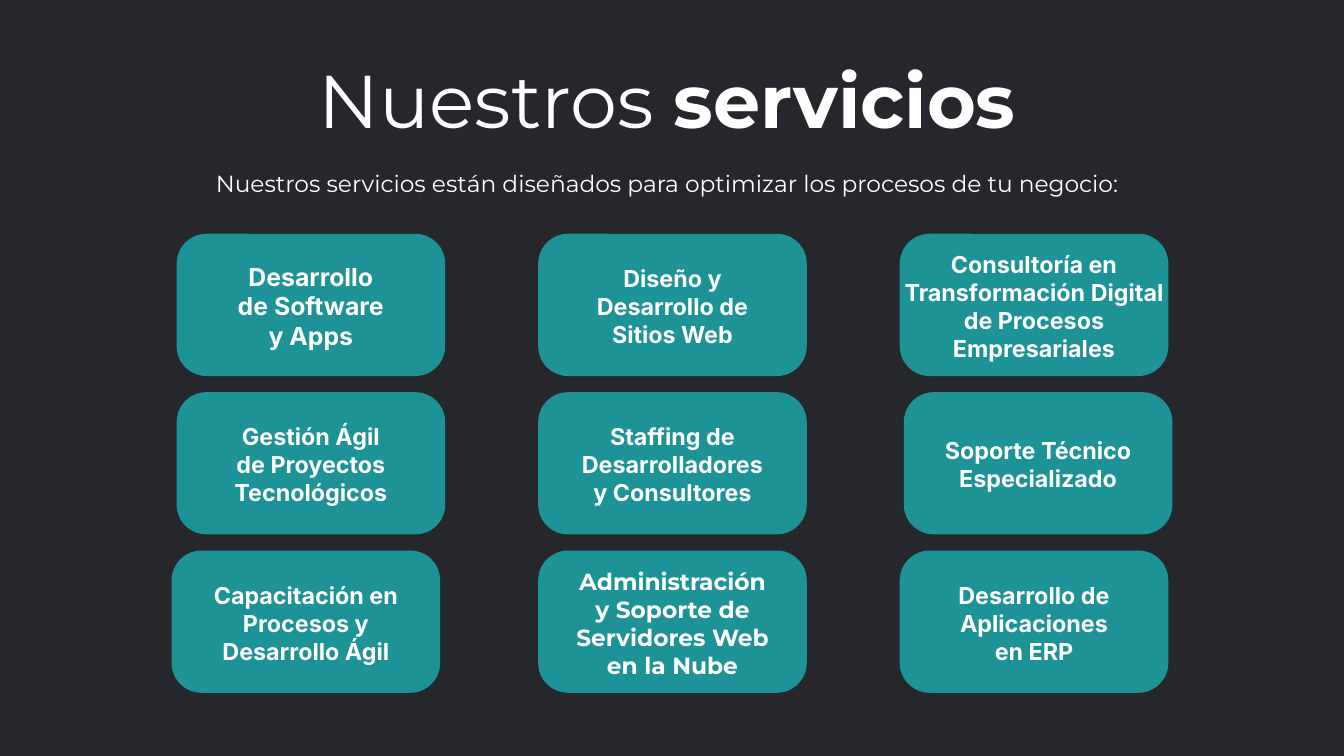
from pptx import Presentation
from pptx.dml.color import RGBColor
from pptx.enum.shapes import MSO_SHAPE
from pptx.enum.text import PP_ALIGN
from pptx.util import Pt

DARK = RGBColor(0x25, 0x27, 0x2C)
TEAL = RGBColor(0x1D, 0x93, 0x98)
WHITE = RGBColor(0xFF, 0xFF, 0xFF)
HEAD = "Montserrat"
BODY = "Inter"

LEFT, TOP = 189.2, 250.5
STEP_X, STEP_Y = 387.4, 169.7
CARD_W, CARD_H = 287.8, 152.4
ROUND = 0.21


class Deck:
    """Holds the style and the current slide."""

    def __init__(self):
        self.file = Presentation()
        self.file.slide_width = Pt(1440)
        self.file.slide_height = Pt(810)
        self.slide = self.file.slides.add_slide(self.file.slide_layouts[6])
        fill = self.slide.background.fill
        fill.solid()
        fill.fore_color.rgb = DARK

    def text(self, x, y, w, h, runs, size, lead, font=HEAD, bold=None):
        """Add centred text; runs are (words, bold) pairs or one string."""
        box = self.slide.shapes.add_textbox(Pt(x), Pt(y), Pt(w), Pt(h))
        frame = box.text_frame
        frame.word_wrap = True
        frame.margin_left = frame.margin_right = 0
        frame.margin_top = frame.margin_bottom = 0
        para = frame.paragraphs[0]
        para.alignment = PP_ALIGN.CENTER
        para.line_spacing = Pt(lead)
        para.font.name = font
        para.font.size = Pt(size)
        para.font.bold = bold
        para.font.color.rgb = WHITE
        for words, heavy in [(runs, None)] if isinstance(runs, str) else runs:
            run = para.add_run()
            run.text = words
            run.font.name = font
            run.font.size = Pt(size)
            run.font.color.rgb = WHITE
            run.font.bold = bold if heavy is None else heavy

    def card(self, col, row, words, wide, lines, shift=0, font=BODY, size=25):
        """Add a card at its grid cell, with its label in the middle."""
        x = LEFT + col * STEP_X + shift
        y = TOP + row * STEP_Y
        card = self.slide.shapes.add_shape(
            MSO_SHAPE.ROUNDED_RECTANGLE, Pt(x), Pt(y), Pt(CARD_W), Pt(CARD_H))
        card.adjustments[0] = ROUND
        card.shadow.inherit = False
        card.fill.solid()
        card.fill.fore_color.rgb = TEAL
        card.line.fill.background()
        lead = size * 1.2
        high = lines * lead * 0.975
        self.text(x + (CARD_W - wide) / 2, y + (CARD_H - high) / 2,
                  wide, high, words, size, lead, font, True)


def main():
    deck = Deck()
    deck.text(321, 80, 788, 78.5,
              [("Nuestros ", False), ("servicios", True)], 80, 73.6)
    deck.text(183.5, 174.2, 1062, 34.5,
              "Nuestros servicios están diseñados para optimizar "
              "los procesos de tu negocio:", 25, 37.5)

    deck.card(0, 0, "Desarrollo de Software y Apps", 166.5, 3, size=26.6)
    deck.card(0, 1, "Gestión Ágil de Proyectos Tecnológicos", 175, 3)
    deck.card(0, 2, "Capacitación en Procesos y Desarrollo Ágil", 258, 3,
              shift=-5.4)
    deck.card(1, 0, "Diseño y Desarrollo de Sitios Web", 165, 3)
    deck.card(1, 1, "Staffing de Desarrolladores y Consultores", 201.5, 3)
    deck.card(1, 2, "Administración y Soporte de Servidores Web en la Nube",
              220.5, 4, font=HEAD)
    deck.card(2, 0, "Consultoría en Transformación Digital de Procesos "
              "Empresariales", 279.5, 4)
    deck.card(2, 1, "Soporte Técnico Especializado", 232.5, 2, shift=4.4)
    deck.card(2, 2, "Desarrollo de Aplicaciones en ERP", 168.5, 3)
    deck.file.save("out.pptx")


if __name__ == "__main__":
    main()
